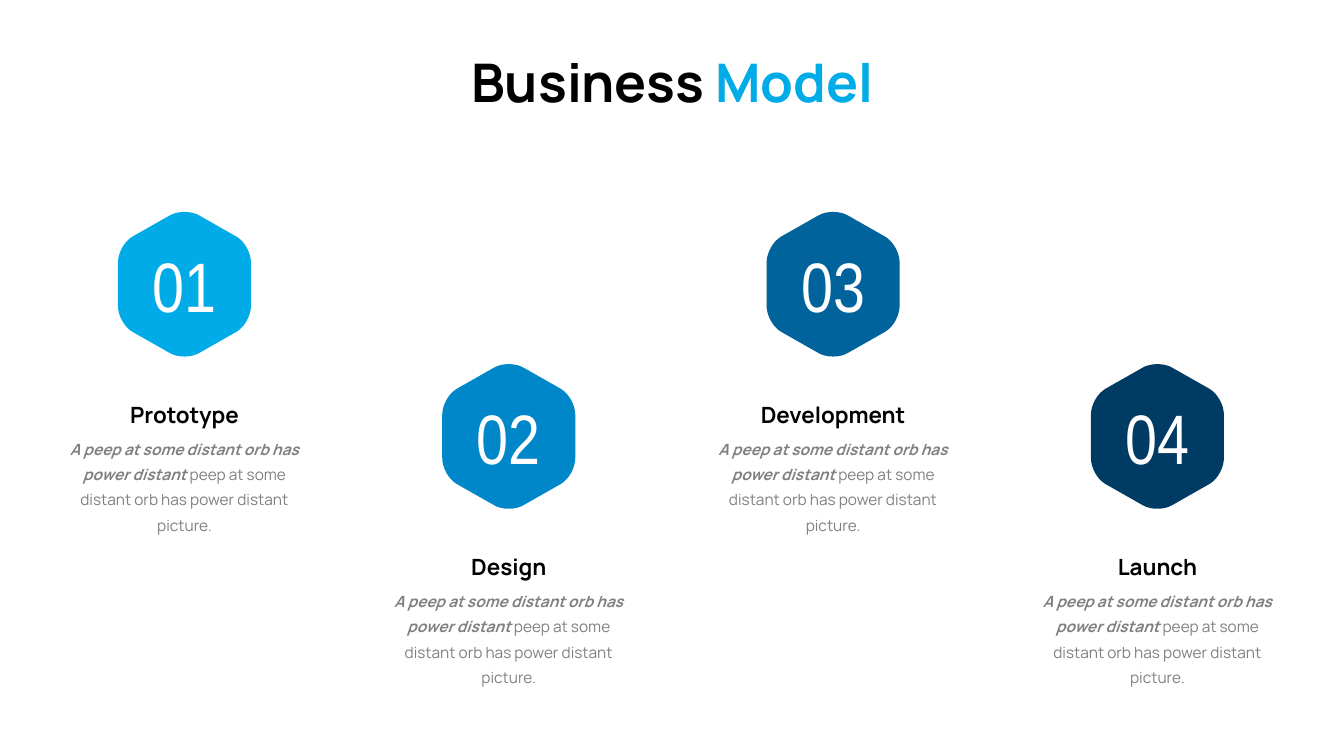
from dataclasses import dataclass

from lxml.etree import SubElement
from pptx import Presentation
from pptx.dml.color import RGBColor
from pptx.enum.text import MSO_ANCHOR as Anchor, MSO_AUTO_SIZE as AutoSize, PP_ALIGN as Align
from pptx.oxml.ns import qn
from pptx.util import Inches, Pt


@dataclass(frozen=True)
class Theme:
    font: str = "Manrope"
    number_font: str = "Arial Narrow"
    black: str = "000000"
    white: str = "FFFFFF"
    grey: str = "808080"
    accent: str = "00ABE7"
    steps: tuple = ("00ABE7", "0087CA", "00639B", "003B64")
    title_size: int = 38
    number_size: int = 50
    heading_size: int = 16
    body_size: int = 11
    body_leading: int = 18


HEXAGON_WIDTH, HEXAGON_HEIGHT = 1.33, 1.44


def hexagon_corners():
    """Bezier points of the six rounded corners, clockwise, in inches around the centre."""
    upper_left = [(-0.66, -0.21), (-0.66, -0.31), (-0.6, -0.42), (-0.52, -0.47)]
    top = [(-0.15, -0.68), (-0.07, -0.73), (0.07, -0.73), (0.15, -0.68)]
    upper_right = [(-x, y) for x, y in reversed(upper_left)]
    upper_half = [upper_left, top, upper_right]
    return upper_half + [[(-x, -y) for x, y in corner] for corner in upper_half]


def round_hexagon(shape):
    """Replace the straight outline of a freeform by the rounded hexagon."""
    outline = shape.element.find(".//" + qn("a:path"))
    for segment in list(outline):
        outline.remove(segment)
    outline.set("w", str(Inches(HEXAGON_WIDTH)))
    outline.set("h", str(Inches(HEXAGON_HEIGHT)))

    def add_segment(tag, points):
        segment = SubElement(outline, qn(tag))
        for x, y in points:
            SubElement(segment, qn("a:pt"), x=str(Inches(x + HEXAGON_WIDTH / 2)),
                       y=str(Inches(y + HEXAGON_HEIGHT / 2)))

    for i, (start, *curve) in enumerate(hexagon_corners()):
        add_segment("a:lnTo" if i else "a:moveTo", [start])
        add_segment("a:cubicBezTo", curve)
    add_segment("a:close", [])


class SlideBuilder:
    def __init__(self, slide, theme):
        self.slide = slide
        self.theme = theme

    def style_run(self, run, size, color, bold=False, italic=False, font=None):
        run.font.name = font or self.theme.font
        run.font.size = Pt(size)
        run.font.bold = bold
        run.font.italic = italic
        run.font.color.rgb = RGBColor.from_string(color)

    def add_run(self, paragraph, text, *style, **options):
        run = paragraph.add_run()
        run.text = text
        self.style_run(run, *style, **options)

    def title(self, plain, accented):
        theme = self.theme
        title = self.slide.shapes.title
        title.left, title.top = Inches(4.45), Inches(0.44)
        title.width, title.height = Inches(4.44), Inches(0.74)
        frame = title.text_frame
        frame.word_wrap = False
        frame.auto_size = AutoSize.SHAPE_TO_FIT_TEXT
        frame.vertical_anchor = Anchor.TOP
        paragraph = frame.paragraphs[0]
        paragraph.alignment = Align.CENTER
        self.add_run(paragraph, plain, theme.title_size, theme.black, bold=True)
        self.add_run(paragraph, accented, theme.title_size, theme.accent, bold=True)

    def hexagon(self, center_x, center_y, number, color):
        left, right = (Inches(center_x + side * HEXAGON_WIDTH / 2) for side in (-1, 1))
        top, bottom = (Inches(center_y + side * HEXAGON_HEIGHT / 2) for side in (-1, 1))
        builder = self.slide.shapes.build_freeform(left, top)
        builder.add_line_segments([(right, top), (right, bottom), (left, bottom)], close=True)
        hexagon = builder.convert_to_shape()
        round_hexagon(hexagon)
        hexagon.shadow.inherit = False
        hexagon.fill.solid()
        hexagon.fill.fore_color.rgb = RGBColor.from_string(color)
        hexagon.line.fill.background()
        frame = hexagon.text_frame
        frame.margin_left = frame.margin_top = frame.margin_right = frame.margin_bottom = 0
        frame.vertical_anchor = Anchor.MIDDLE
        frame.text = number
        paragraph = frame.paragraphs[0]
        paragraph.alignment = Align.CENTER
        self.style_run(paragraph.runs[0], self.theme.number_size, self.theme.white,
                       font=self.theme.number_font)

    def text_box(self, center_x, top, width, height, wrap):
        box = self.slide.shapes.add_textbox(
            Inches(center_x - width / 2), Inches(top), Inches(width), Inches(height))
        frame = box.text_frame
        frame.word_wrap = wrap
        frame.auto_size = AutoSize.SHAPE_TO_FIT_TEXT
        return frame

    def heading(self, center_x, top, width, text):
        frame = self.text_box(center_x, top, width, 0.37, wrap=False)
        frame.text = text
        paragraph = frame.paragraphs[0]
        paragraph.alignment = Align.CENTER
        self.style_run(paragraph.runs[0], self.theme.heading_size, self.theme.black, bold=True)

    def description(self, center_x, top, lines):
        """Each line is a pair: emphasised text, then plain text."""
        theme = self.theme
        frame = self.text_box(center_x, top, 2.72, 0.83, wrap=True)
        for i, (emphasis, plain) in enumerate(lines):
            paragraph = frame.add_paragraph() if i else frame.paragraphs[0]
            paragraph.alignment = Align.CENTER
            paragraph.line_spacing = Pt(theme.body_leading)
            self.add_run(paragraph, emphasis, theme.body_size, theme.grey, bold=True, italic=True)
            if plain:
                self.add_run(paragraph, plain, theme.body_size, theme.grey)


# Step name and the width of its heading
STEPS = [("Prototype", 1.34), ("Design", 1.0), ("Development", 1.76), ("Launch", 1.05)]
DESCRIPTION = [
    ("A peep at some distant orb has", ""),
    ("power distant ", "peep at some distant orb has power distant picture."),
]
FIRST_CENTER, LAST_CENTER = 1.83, 11.48
STEP_PITCH = (LAST_CENTER - FIRST_CENTER) / (len(STEPS) - 1)
UPPER_CENTER, ROW_DROP = 2.82, 1.51


def main():
    presentation = Presentation()
    presentation.slide_width, presentation.slide_height = Inches(13.33), Inches(7.5)
    theme = Theme()
    builder = SlideBuilder(presentation.slides.add_slide(presentation.slide_layouts[5]), theme)
    builder.title("Business ", "Model")
    for i, ((name, heading_width), color) in enumerate(zip(STEPS, theme.steps)):
        center_x = FIRST_CENTER + i * STEP_PITCH
        center_y = UPPER_CENTER + i % 2 * ROW_DROP
        builder.hexagon(center_x, center_y, f"{i + 1:02}", color)
        builder.heading(center_x, center_y + 1.11, heading_width, name)
        builder.description(center_x, center_y + 1.43, DESCRIPTION)
    presentation.save("out.pptx")


if __name__ == "__main__":
    main()
